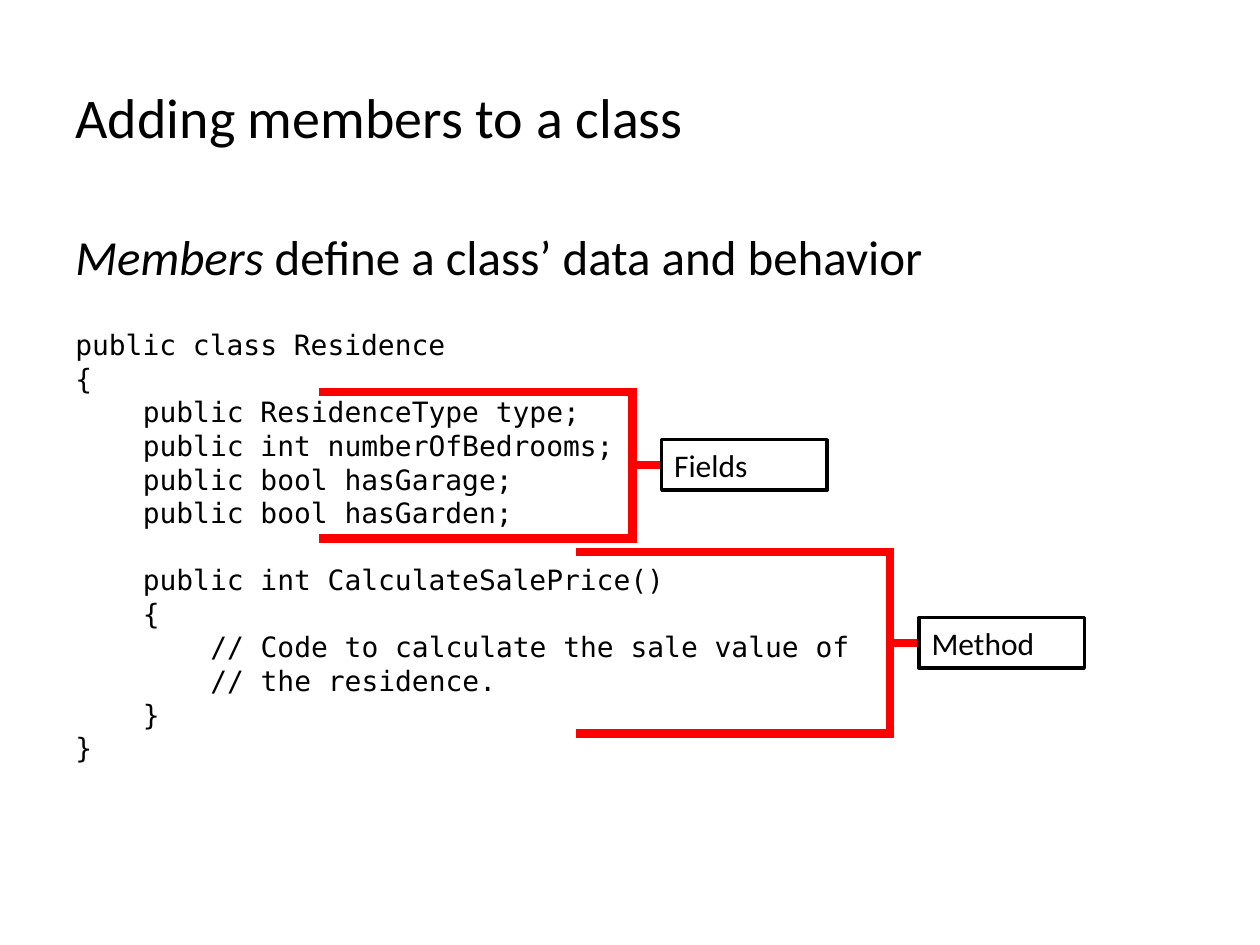
from pptx import Presentation
from pptx.dml.color import RGBColor
from pptx.enum import shapes, text
from pptx.oxml import ns
from pptx.util import Cm, Pt
from lxml import etree

INK = {"text": "000000", "mark": "FF0000", "paper": "FFFFFF"}
SANS, MONO = "Calibri", "DejaVu Sans Mono"
STEP = 1.36  # one code indent, four characters wide
PITCH = 19.2  # code line height in points

# Indent level, blank lines above, code
CODE = [
    (0, 0, "public class Residence"),
    (0, 0, "{"),
    (1, 0, "public ResidenceType type;"),
    (1, 0, "public int numberOfBedrooms;"),
    (1, 0, "public bool hasGarage;"),
    (1, 0, "public bool hasGarden;"),
    (1, 1, "public int CalculateSalePrice()"),
    (1, 0, "{"),
    (2, 0, "// Code to calculate the sale value of"),
    (2, 0, "// the residence."),
    (1, 0, "}"),
    (0, 0, "}"),
]

# Left, top, height, label
MARKS = [
    (6.43, 7.9, 2.95, "Fields"),
    (11.62, 11.13, 3.66, "Method"),
]


def color(name):
    return RGBColor.from_string(INK[name])


def add_run(para, words, size, font=SANS, italic=False):
    run = para.add_run()
    run.text = words
    run.font.size = Pt(size)
    run.font.name = font
    run.font.italic = italic
    run.font.color.rgb = color("text")


def add_line(slide, x1, y1, x2, y2):
    line = slide.shapes.add_connector(
        shapes.MSO_CONNECTOR.STRAIGHT, Cm(x1), Cm(y1), Cm(x2), Cm(y2))
    line.line.color.rgb = color("mark")
    line.line.width = Pt(5)
    props = line._element.find(ns.qn("p:spPr"))
    etree.SubElement(props, ns.qn("a:effectLst"))
    return line


def add_title(slide, left, top, wide, high):
    title = slide.shapes.title
    title.left, title.top = Cm(left), Cm(top)
    title.width, title.height = Cm(wide), Cm(high)
    title.text_frame.vertical_anchor = text.MSO_ANCHOR.MIDDLE
    para = title.text_frame.paragraphs[0]
    para.alignment = text.PP_ALIGN.LEFT
    add_run(para, "Adding members to a class", 32)


def add_body(slide, left, top, wide, high):
    box = slide.shapes.add_textbox(Cm(left), Cm(top), Cm(wide), Cm(high))
    frame = box.text_frame
    frame.word_wrap = True
    # Lead sentence
    lead = frame.paragraphs[0]
    lead.space_after = Pt(24)
    add_run(lead, "Members", 28, italic=True)
    add_run(lead, " define a class’ data and behavior", 28)
    # Code listing
    for level, gap, code in CODE:
        para = frame.add_paragraph()
        para.line_spacing = Pt(PITCH)
        para.space_before = Pt(gap * PITCH)
        props = para._p.get_or_add_pPr()
        props.set("marL", str(Cm(level * STEP)))
        props.set("indent", "0")
        add_run(para, code, 16, MONO)


def add_mark(slide, left, top, high, label):
    """Bracket open to the left, with a label box on its right."""
    side, mid, base = left + 6.32, top + high / 2, top + high
    for y in (top, base):
        add_line(slide, left, y, side + 0.09, y)
    add_line(slide, side, top, side, base)
    stub = add_line(slide, side, mid, left + 6.91, mid)
    # Label box
    box = slide.shapes.add_shape(
        shapes.MSO_SHAPE.RECTANGLE,
        Cm(left + 6.91), Cm(mid - 0.51), Cm(3.33), Cm(1.02))
    box.shadow.inherit = False
    box.fill.solid()
    box.fill.fore_color.rgb = color("paper")
    box.line.color.rgb = color("text")
    box.line.width = Pt(2)
    frame = box.text_frame
    frame.word_wrap = True
    frame.vertical_anchor = text.MSO_ANCHOR.TOP
    para = frame.paragraphs[0]
    para.alignment = text.PP_ALIGN.LEFT
    add_run(para, label, 18)
    stub.end_connect(box, 1)


def main():
    deck = Presentation()
    deck.slide_width, deck.slide_height = Cm(25.4), Cm(19.05)
    slide = deck.slides.add_slide(deck.slide_layouts[5])
    add_title(slide, 1.27, 0.76, 22.86, 3.18)
    add_body(slide, 1.27, 4.45, 22.86, 12.57)
    for mark in MARKS:
        add_mark(slide, *mark)
    deck.save("out.pptx")


if __name__ == "__main__":
    main()
